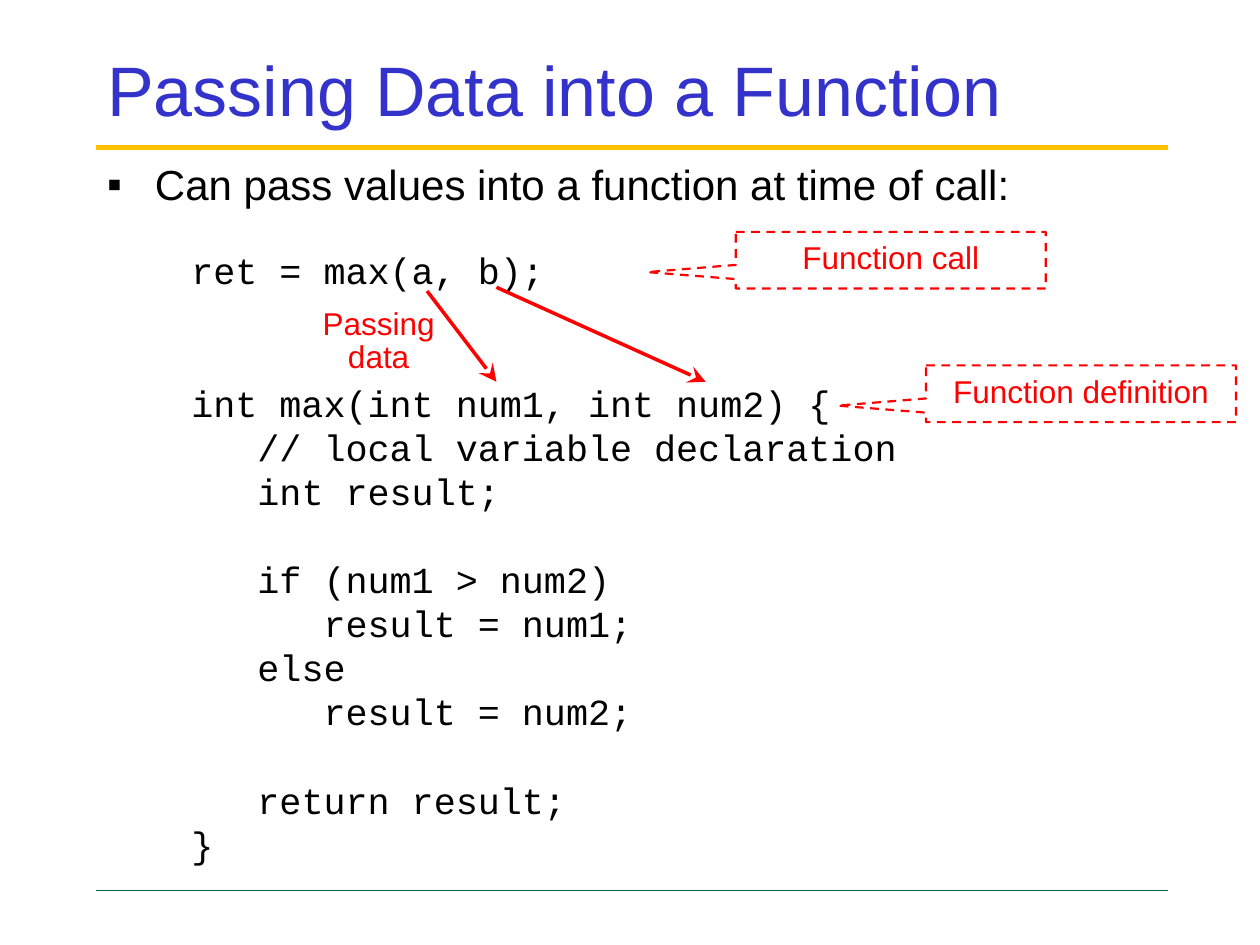
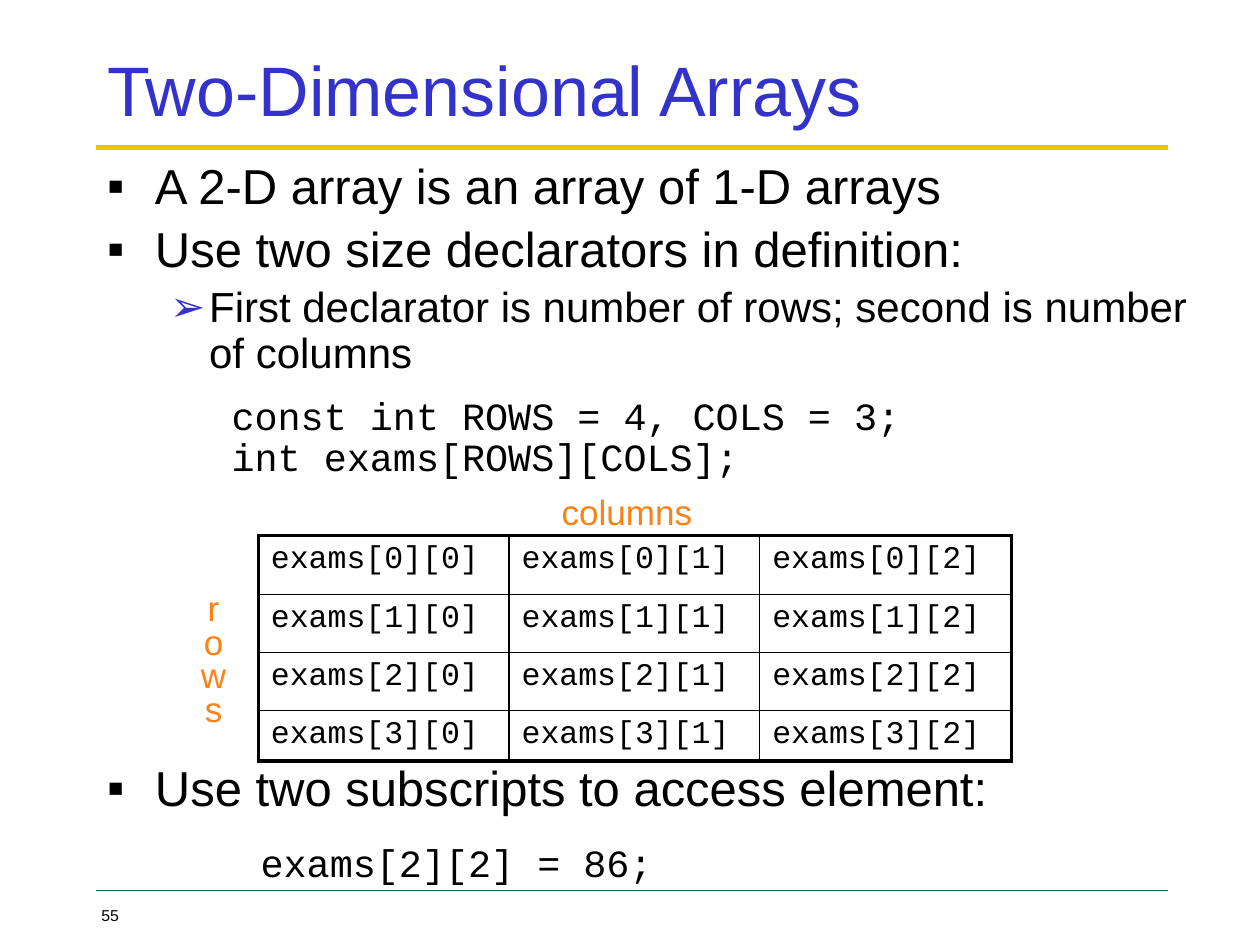
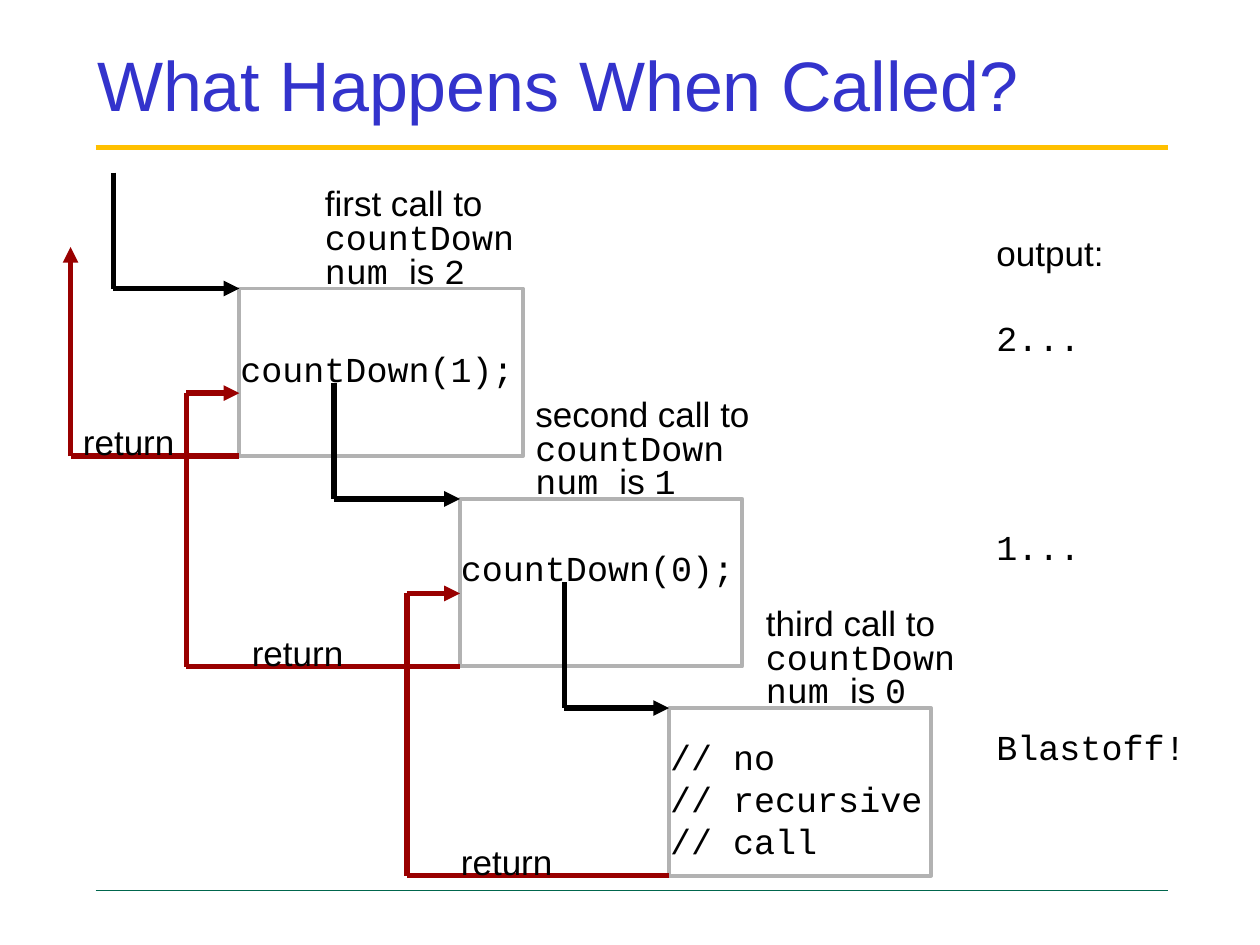
from lxml import etree
from pptx import Presentation
from pptx.dml.color import RGBColor
from pptx.enum.shapes import MSO_CONNECTOR, MSO_SHAPE
from pptx.enum.dml import MSO_LINE
from pptx.enum.text import MSO_ANCHOR, MSO_AUTO_SIZE, PP_ALIGN
from pptx.oxml.ns import qn
from pptx.util import Emu, Pt

PX = 9144  # 100 px to the inch
LEFT, CENTER = PP_ALIGN.LEFT, PP_ALIGN.CENTER
TOP, MIDDLE, BOTTOM = MSO_ANCHOR.TOP, MSO_ANCHOR.MIDDLE, MSO_ANCHOR.BOTTOM
STRAIGHT, DASH = MSO_CONNECTOR.STRAIGHT, MSO_LINE.DASH
RECTANGLE, CALLOUT = MSO_SHAPE.RECTANGLE, MSO_SHAPE.RECTANGULAR_CALLOUT
NO_AUTOFIT = MSO_AUTO_SIZE.NONE
TITLE_AND_BODY, TITLE_ONLY = 1, 5

SANS, MONO = "Arial", "Courier New"
BLACK, BLUE, GOLD, GREEN = "000000", "3333CC", "FFC000", "00664D"
RED, ORANGE, GRAY, MAROON = "FF0000", "FA8218", "B2B2B2", "990000"

RULES = [(117, GOLD, 3), (707, GREEN, 0.75)]
RULE_LEFT, RULE_RIGHT = 76, 927
TITLE_BOX = (75, 33, 850, 75)

# bullet per list level: character, colour, left margin, first-line indent
BULLETS = [("▪", BLACK, 38, -38), ("➢", BLUE, 81, -31)]

# Passing data: indent level, blank lines above, code
FUNCTION_CODE = [
    (0, 0, "ret = max(a, b);"),
    (0, 2, "int max(int num1, int num2) {"),
    (1, 0, "// local variable declaration"),
    (1, 0, "int result;"),
    (1, 1, "if (num1 > num2)"),
    (2, 0, "result = num1;"),
    (1, 0, "else"),
    (2, 0, "result = num2;"),
    (1, 1, "return result;"),
    (0, 0, "}"),
]
CODE_SIZE = 21
CODE_PITCH = CODE_SIZE * 1.2
CODE_INDENT = Pt(CODE_SIZE * 0.6 * 3)
CALLOUTS = [("Function call", 584, 184), ("Function definition", 735, 290)]
DATA_ARROWS = [[(339, 231), (394, 303)], [(394, 228), (560, 303)]]

# Two-dimensional arrays: level, size, space before, text
ARRAY_POINTS = [
    (0, 28, 5.6, "A 2-D array is an array of 1-D arrays"),
    (0, 28, 5.6, "Use two size declarators in definition:"),
    (1, 24, 4.8, "First declarator is number of rows; second is number of columns"),
    (0, 28, 221, "Use two subscripts to access element:"),
]
DECLARATIONS = ["const int ROWS = 4, COLS = 3;", "int exams[ROWS][COLS];"]
ROW_HEIGHTS = [47, 46, 46, 40]
COLUMN_WIDTHS = [199, 199, 200]

# Recursive calls, from the first to the deepest
CALL_HEIGHT = 133
CALLS = [
    dict(order="first", num="2", left=190, top=229, width=225,
         code=["countDown(1);"], code_box=(271, 240, 43), caption=(248, 170),
         call_from=(90, 137), return_x=56, return_y=196, return_label=56),
    dict(order="second", num="1", left=365, top=396, width=224,
         code=["countDown(0);"], code_box=(429, 240, 43), caption=(415, 190),
         call_from=(265, 304), return_x=148, return_y=312, return_label=190),
    dict(order="third", num="0", left=531, top=562, width=208,
         code=["// no", "// recursive", "// call"], code_box=(579, 240, 110),
         caption=(598, 187),
         call_from=(448, 462), return_x=323, return_y=471, return_label=356),
]
OUTPUTS = [("output:", SANS, 179, 105), ("2...", MONO, 246, 90),
           ("1...", MONO, 412, 90), ("Blastoff!", MONO, 571, 175)]
OUTPUT_LEFT = 781


def px(*values):
    return [Emu(value * PX) for value in values]


def rgb(color):
    return RGBColor.from_string(color)


def set_font(font, size, color=BLACK, name=None):
    font.size = Pt(size)
    font.color.rgb = rgb(color)
    if name:
        font.name = name


def set_line(line, color, width):
    line.color.rgb = rgb(color)
    line.width = Pt(width)


def add_paragraphs(frame, count):
    for _ in range(count - 1):
        frame.add_paragraph()
    return frame.paragraphs


def add_text(slide, lines, box, size, color=BLACK, name=SANS, align=LEFT,
             anchor=TOP, spacing=None, margin=None):
    """Add a text box; a line is a string or a list of (text, font name) runs."""
    shape = slide.shapes.add_textbox(*px(*box))
    frame = shape.text_frame
    frame.word_wrap = True
    frame.vertical_anchor = anchor
    if margin is not None:
        frame.margin_left = frame.margin_right = margin
        frame.margin_top = frame.margin_bottom = margin
    for paragraph, line in zip(add_paragraphs(frame, len(lines)), lines):
        paragraph.alignment = align
        paragraph.line_spacing = spacing
        if isinstance(line, str):
            paragraph.add_run().text = line
            set_font(paragraph.font, size, color, name)
        else:
            set_font(paragraph.font, size, color)
            for text, run_font in line:
                run = paragraph.add_run()
                run.text = text
                run.font.name = run_font
    return shape


def add_path(slide, points, color, width, head=None, head_size="med"):
    """Join points with straight lines, the last one with an arrowhead."""
    for start, end in zip(points, points[1:]):
        connector = slide.shapes.add_connector(STRAIGHT, *px(*start, *end))
        set_line(connector.line, color, width)
        properties = connector.element.spPr
        if head and end == points[-1]:
            line = properties.find(qn("a:ln"))
            etree.SubElement(line, qn("a:tailEnd"), type=head, w=head_size, len=head_size)
        etree.SubElement(properties, qn("a:effectLst"))
    return connector


def add_titled_slide(presentation, layout, title, box=TITLE_BOX):
    slide = presentation.slides.add_slide(presentation.slide_layouts[layout])
    shape = slide.shapes.title
    shape.left, shape.top, shape.width, shape.height = px(*box)
    frame = shape.text_frame
    frame.text = title
    frame.auto_size = NO_AUTOFIT
    frame.vertical_anchor = MIDDLE
    paragraph = frame.paragraphs[0]
    paragraph.alignment = LEFT
    set_font(paragraph.font, 40, BLUE, SANS)
    return slide


def add_bullet(paragraph, level):
    character, color, margin, indent = BULLETS[level]
    paragraph.level = level
    properties = paragraph._p.get_or_add_pPr()
    properties.set("marL", str(margin * PX))
    properties.set("indent", str(indent * PX))
    bullet_color = etree.SubElement(properties, qn("a:buClr"))
    etree.SubElement(bullet_color, qn("a:srgbClr"), val=color)
    etree.SubElement(properties, qn("a:buFont"), typeface=SANS)
    etree.SubElement(properties, qn("a:buChar"), char=character)


def fill_body(slide, points, box, spacing=None):
    body = slide.placeholders[1]
    body.left, body.top, body.width, body.height = px(*box)
    frame = body.text_frame
    frame.auto_size = NO_AUTOFIT
    paragraphs = add_paragraphs(frame, len(points))
    for paragraph, (level, size, before, text) in zip(paragraphs, points):
        paragraph.add_run().text = text
        add_bullet(paragraph, level)
        paragraph.line_spacing = spacing
        paragraph.space_before = Pt(before)
        set_font(paragraph.font, size, BLACK, SANS)


def add_rules_to_master(presentation, slide):
    """Draw the shared rules and move them to the slide master."""
    tree = presentation.slide_master.element.cSld.spTree
    for y, color, width in RULES:
        rule = add_path(slide, [(RULE_LEFT, y), (RULE_RIGHT, y)], color, width)
        tree.append(rule.element)


def border_cell(cell, widths):
    properties = cell._tc.get_or_add_tcPr()
    for side, width in zip("LRTB", widths):
        line = etree.SubElement(properties, qn(f"a:ln{side}"), w=str(Pt(width)))
        fill = etree.SubElement(line, qn("a:solidFill"))
        etree.SubElement(fill, qn("a:srgbClr"), val=BLACK)
    cell.fill.background()


def add_array_table(slide):
    rows, columns = len(ROW_HEIGHTS), len(COLUMN_WIDTHS)
    box = px(205, 425, sum(COLUMN_WIDTHS), sum(ROW_HEIGHTS))
    table = slide.shapes.add_table(rows, columns, *box).table
    table.first_row = table.horz_banding = False
    for column, width in zip(table.columns, COLUMN_WIDTHS):
        column.width = Emu(width * PX)
    for r, height in enumerate(ROW_HEIGHTS):
        table.rows[r].height = Emu(height * PX)
        for c in range(columns):
            cell = table.cell(r, c)
            cell.text = f"exams[{r}][{c}]"
            set_font(cell.text_frame.paragraphs[0].font, 18, BLACK, MONO)
            on_edge = (c == 0, c == columns - 1, r == 0, r == rows - 1)
            border_cell(cell, [2.25 if edge else 1 for edge in on_edge])


def add_callout(slide, text, left, top):
    callout = slide.shapes.add_shape(CALLOUT, *px(left, top, 246, 45))
    callout.adjustments[0], callout.adjustments[1] = -0.786, 0.21
    callout.shadow.inherit = False
    callout.fill.background()
    set_line(callout.line, RED, 1.25)
    callout.line.dash_style = DASH
    callout.text_frame.text = text
    callout.text_frame.vertical_anchor = TOP
    paragraph = callout.text_frame.paragraphs[0]
    paragraph.alignment = CENTER
    set_font(paragraph.font, 18, RED, SANS)


def build_passing_data(presentation):
    slide = add_titled_slide(presentation, TITLE_AND_BODY, "Passing Data into a Function")
    add_rules_to_master(presentation, slide)
    points = [(0, 24, 5.5, "Can pass values into a function at time of call:")]
    fill_body(slide, points, (75, 121, 911, 586))

    code = add_text(slide, [text for _, _, text in FUNCTION_CODE],
                    (142, 192, 669, 505), CODE_SIZE, name=MONO)
    for paragraph, (level, gap, _) in zip(code.text_frame.paragraphs, FUNCTION_CODE):
        paragraph.space_before = Pt(gap * CODE_PITCH)
        paragraph._p.get_or_add_pPr().set("marL", str(level * CODE_INDENT))

    for callout in CALLOUTS:
        add_callout(slide, *callout)
    for points in DATA_ARROWS:
        add_path(slide, points, RED, 2, "stealth", "lg")
    add_text(slide, ["Passing data"], (245, 240, 111, 63), 18, RED,
             align=CENTER, spacing=Pt(19))


def build_arrays(presentation):
    slide = add_titled_slide(presentation, TITLE_AND_BODY, "Two-Dimensional Arrays")
    fill_body(slide, ARRAY_POINTS, (75, 124, 891, 558), 0.9)
    add_text(slide, ["55"], (75, 717, 25, 17), 9, align=CENTER, anchor=BOTTOM, margin=0)
    add_text(slide, DECLARATIONS, (174, 310, 627, 78), 22, name=MONO, spacing=0.9)
    add_array_table(slide)
    add_text(slide, ["columns"], (436, 384, 130, 43), 20, ORANGE)
    add_text(slide, list("rows"), (141, 467, 57, 117), 20, ORANGE,
             align=CENTER, spacing=0.8)
    add_text(slide, ["exams[2][2] = 86;"], (197, 661, 345, 47), 22, name=MONO)


def add_call(slide, call, caller):
    left, top = call["left"], call["top"]
    bottom = top + CALL_HEIGHT
    frame = slide.shapes.add_shape(RECTANGLE, *px(left, top, call["width"], CALL_HEIGHT))
    frame.shadow.inherit = False
    frame.fill.background()
    set_line(frame.line, GRAY, 2.25)

    code_top, code_width, code_height = call["code_box"]
    add_text(slide, call["code"], (left - 9, code_top, code_width, code_height), 20, name=MONO)
    caption_left, caption_width = call["caption"]
    caption = [[(f"{call['order']} call to", SANS)], [("countDown", MONO)],
               [("num ", MONO), ("is ", SANS), (call["num"], MONO)]]
    add_text(slide, caption, (caption_left, top - 83, caption_width + 5, 90), 20, spacing=0.8)

    start = call["call_from"]
    add_path(slide, [start, (start[0], top), (left, top)], BLACK, 3, "triangle")
    return_x, return_y = call["return_x"], call["return_y"]
    way_back = [(left, bottom), (return_x, bottom), (return_x, return_y)]
    if caller:
        way_back.append((caller["left"], return_y))
    add_path(slide, way_back, MAROON, 3, "triangle")
    add_text(slide, ["return"], (call["return_label"], bottom - 33, 100, 43), 20)


def build_recursion(presentation):
    slide = add_titled_slide(presentation, TITLE_ONLY, "What Happens When Called?",
                             (67, 17, 816, 98))
    for call, caller in zip(CALLS, [None] + CALLS):
        add_call(slide, call, caller)
    for text, name, top, width in OUTPUTS:
        add_text(slide, [text], (OUTPUT_LEFT, top, width, 43), 20, name=name)


def main():
    presentation = Presentation()
    presentation.slide_width, presentation.slide_height = px(1000, 750)
    build_passing_data(presentation)
    build_arrays(presentation)
    build_recursion(presentation)
    presentation.save("out.pptx")


if __name__ == "__main__":
    main()
